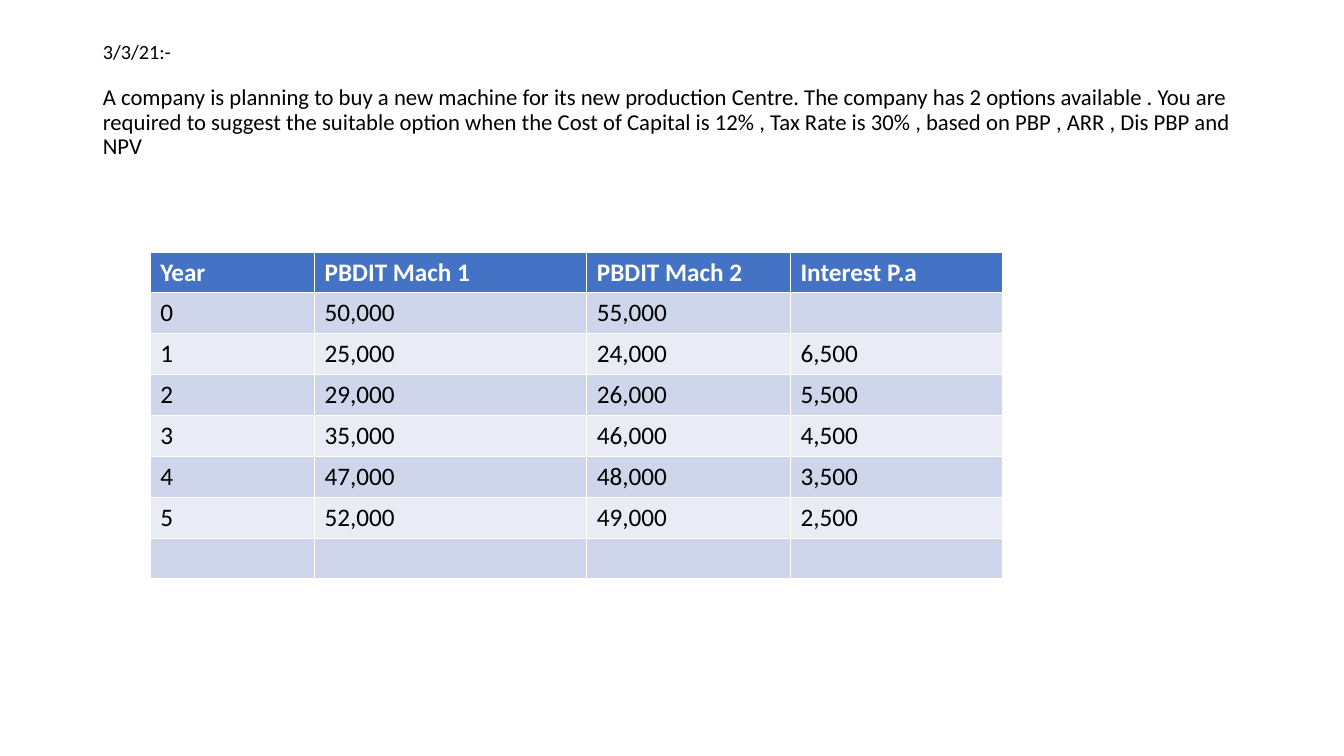
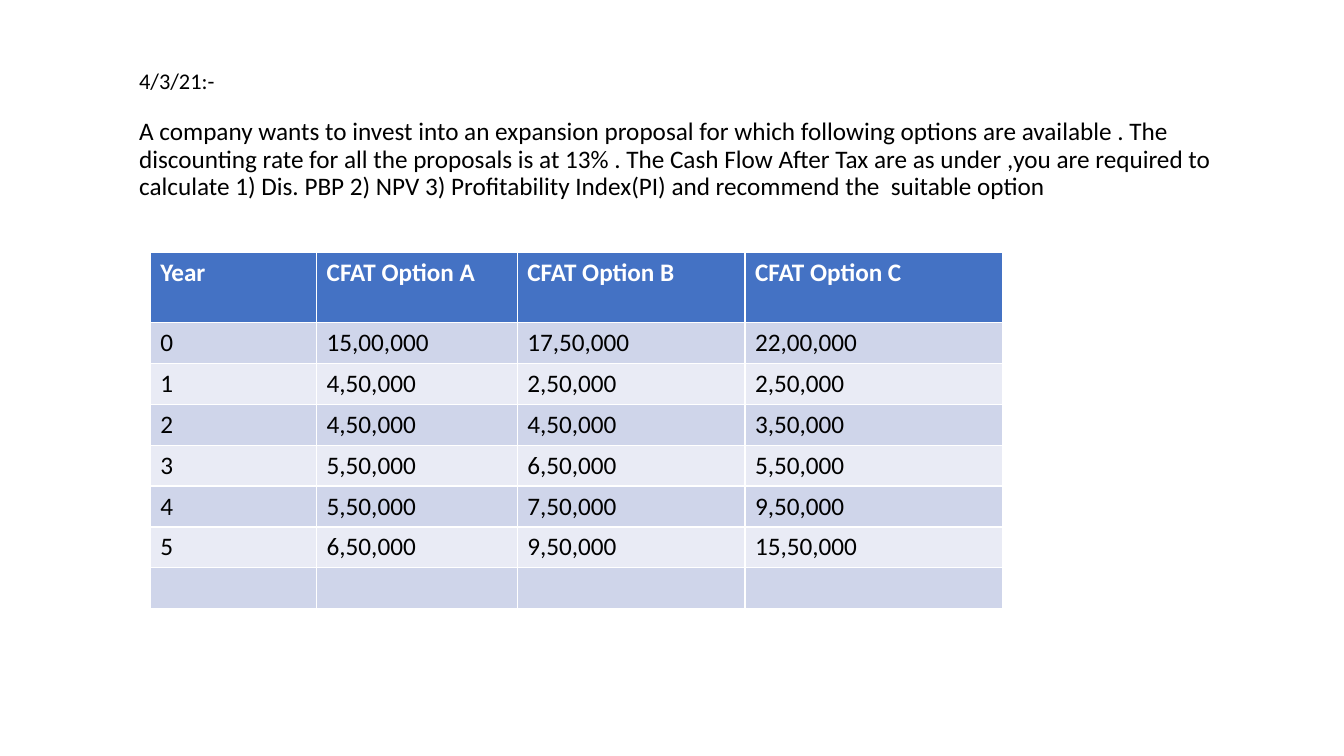
from pptx import Presentation
from pptx.dml.color import RGBColor
from pptx.enum.text import MSO_ANCHOR, MSO_AUTO_SIZE, PP_ALIGN
from pptx.util import Inches, Pt

# Shared look
FONT = "Calibri"
BLACK, WHITE, BLUE = "000000", "FFFFFF", "4472C4"
BANDS = "CFD5EA", "E9EBF5"
LEFT, TOP, ROW = 1.49, 2.5, 3.24 / 8
FRAME = dict(word_wrap=True, auto_size=MSO_AUTO_SIZE.NONE,
             vertical_anchor=MSO_ANCHOR.MIDDLE)

# Content
TASKS = [
    dict(
        date="3/3/21:-",
        text="A company is planning to buy a new machine for its new production "
             "Centre. The company has 2 options available . You are required to "
             "suggest the suitable option when the Cost of Capital is 12% , Tax "
             "Rate is 30% , based on PBP , ARR , Dis PBP and NPV",
        place=(0.92, 0.4), sizes=(14.4, 16.2), foot=0.3,
        cols=(1.63, 2.7, 2.02, 2.1), head=ROW,
        rows=[
            ("Year", "PBDIT Mach 1", "PBDIT Mach 2", "Interest P.a"),
            ("0", "50,000", "55,000", ""),
            ("1", "25,000", "24,000", "6,500"),
            ("2", "29,000", "26,000", "5,500"),
            ("3", "35,000", "46,000", "4,500"),
            ("4", "47,000", "48,000", "3,500"),
            ("5", "52,000", "49,000", "2,500"),
            ("", "", "", ""),
        ],
    ),
    dict(
        date="4/3/21:-",
        text="A company wants to invest into an expansion proposal for which "
             "following options are available . The discounting rate for all the "
             "proposals is at 13% . The Cash Flow After Tax are as under ,you are "
             "required to calculate 1) Dis. PBP 2) NPV 3) Profitability Index(PI) "
             "and recommend the  suitable option",
        place=(1.28, 0.62), sizes=(16, 18), foot=0.05,
        cols=(1.65, 1.99, 2.26, 2.55), head=0.7,
        rows=[
            ("Year", "CFAT Option A", "CFAT Option B", "CFAT Option C"),
            ("0", "15,00,000", "17,50,000", "22,00,000"),
            ("1", "4,50,000", "2,50,000", "2,50,000"),
            ("2", "4,50,000", "4,50,000", "3,50,000"),
            ("3", "5,50,000", "6,50,000", "5,50,000"),
            ("4", "5,50,000", "7,50,000", "9,50,000"),
            ("5", "6,50,000", "9,50,000", "15,50,000"),
            ("", "", "", ""),
        ],
    ),
]


def apply(item, values):
    for name, value in values.items():
        setattr(item, name, value)


def style(font, size, color=BLACK, bold=False):
    apply(font, dict(name=FONT, size=Pt(size), bold=bold))
    font.color.rgb = RGBColor.from_string(color)


def add_title(slide, task):
    title = slide.shapes.title
    left, top = task["place"]
    apply(title, dict(left=Inches(left), top=Inches(top),
                      width=Inches(11.5), height=Inches(1.45)))
    frame = title.text_frame
    frame.text = task["date"] + "\n" + task["text"]
    apply(frame, FRAME)
    frame.margin_bottom = Inches(task["foot"])
    for para, size in zip(frame.paragraphs, task["sizes"]):
        apply(para, dict(alignment=PP_ALIGN.LEFT, line_spacing=0.9,
                         space_before=Pt(0), space_after=Pt(0)))
        style(para.runs[0].font, size)
    # The gap under the date is one line of its size
    frame.paragraphs[0].space_after = Pt(round(task["sizes"][0] * 1.1, 1))


def add_grid(slide, task):
    rows, cols = task["rows"], task["cols"]
    high = task["head"] + ROW * (len(rows) - 1)
    table = slide.shapes.add_table(
        len(rows), len(cols), Inches(LEFT), Inches(TOP),
        Inches(sum(cols)), Inches(high)).table
    for col, width in zip(table.columns, cols):
        col.width = Inches(width)
    for r, row in enumerate(rows):
        table.rows[r].height = Inches(ROW if r else task["head"])
        for c, text in enumerate(row):
            cell = table.cell(r, c)
            cell.text = text
            cell.fill.solid()
            fill = BANDS[(r - 1) % 2] if r else BLUE
            cell.fill.fore_color.rgb = RGBColor.from_string(fill)
            style(cell.text_frame.paragraphs[0].font, 18,
                  BLACK if r else WHITE, r == 0)


def main():
    deck = Presentation()
    apply(deck, dict(slide_width=Inches(13.33), slide_height=Inches(7.5)))
    for task in TASKS:
        slide = deck.slides.add_slide(deck.slide_layouts.get_by_name("Title Only"))
        add_title(slide, task)
        add_grid(slide, task)
    deck.save("out.pptx")


if __name__ == "__main__":
    main()
